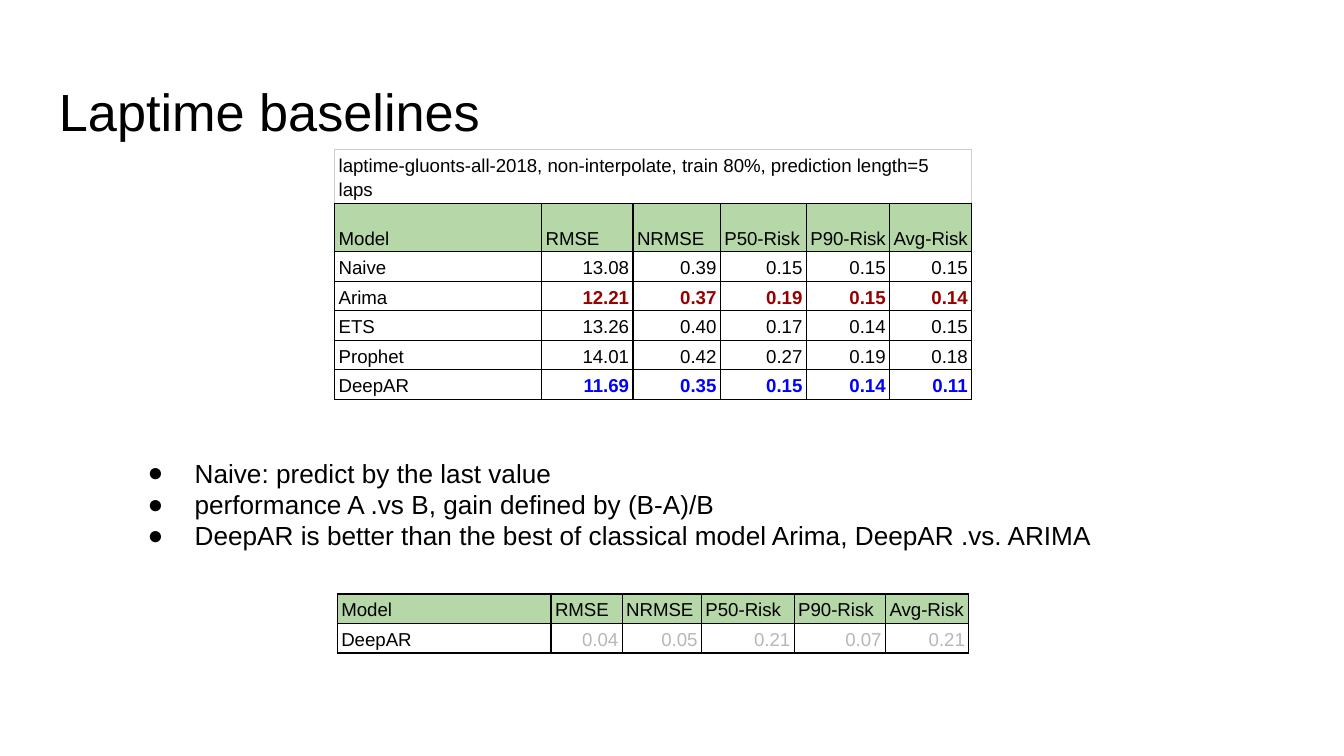
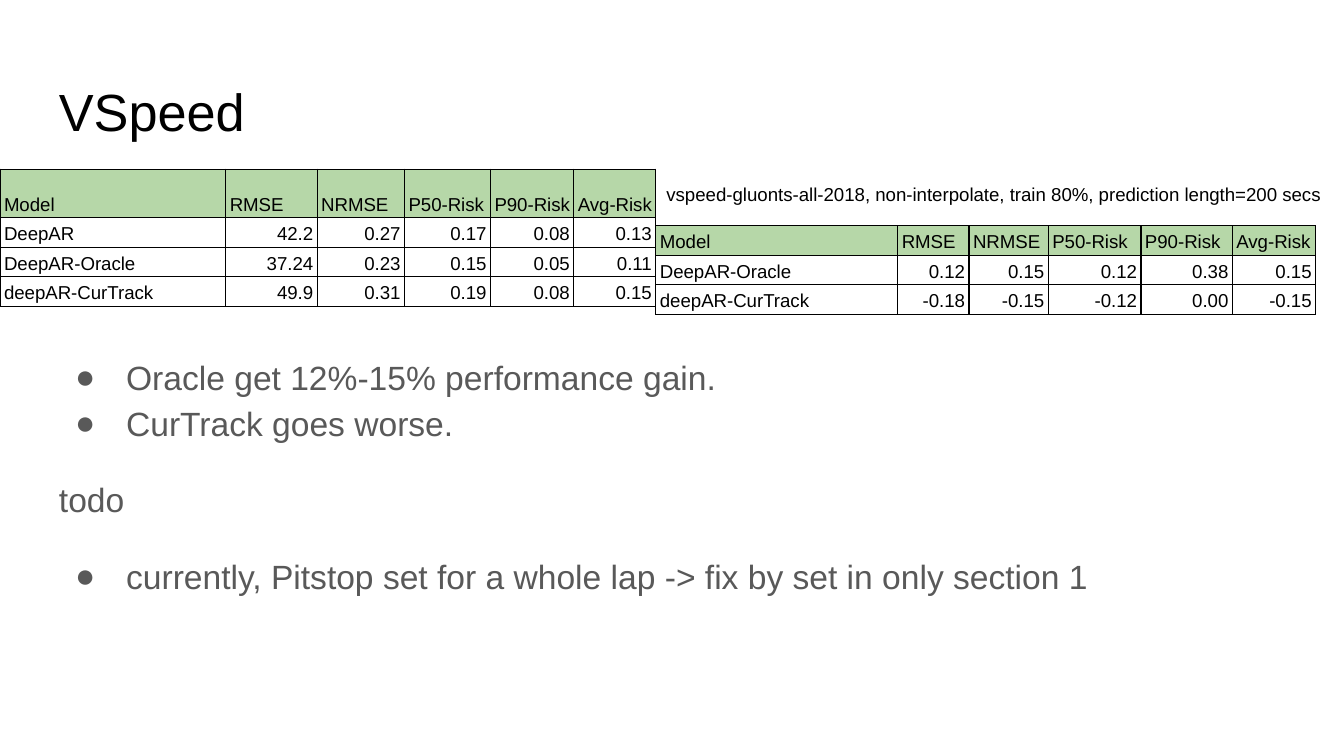
import dataclasses

import lxml.etree
import pptx
import pptx.dml.color
import pptx.enum.text
import pptx.oxml.ns
import pptx.util

Inches = pptx.util.Inches
Align = pptx.enum.text.PP_ALIGN
Anchor = pptx.enum.text.MSO_ANCHOR

FONT = "Arial"
BLACK, BODY_GRAY, PALE_GRAY = "000000", "595959", "B7B7B7"
HEADER_GREEN, CAPTION_BORDER = "B6D7A8", "CCCCCC"
ARIMA_RED, DEEPAR_BLUE = "980000", "0000FF"

METRICS = ("RMSE", "NRMSE", "P50-Risk", "P90-Risk", "Avg-Risk")
SCORE_WIDTHS = (0.68, 0.65, 0.64, 0.62, 0.61)
GAIN_WIDTHS = (0.53, 0.59, 0.69, 0.68, 0.62)
ROW_HEIGHT, TALL_ROW_HEIGHT = 0.22, 0.36


@dataclasses.dataclass(frozen=True)
class ModelRow:
    name: str
    values: str
    color: str = BLACK
    bold: bool = False


@dataclasses.dataclass(frozen=True)
class MetricTable:
    left: float
    top: float
    model_width: float
    metric_widths: tuple[float, ...]
    rows: tuple[ModelRow, ...]
    header_height: float = ROW_HEIGHT
    caption: str = ""


@dataclasses.dataclass(frozen=True)
class Line:
    text: str
    bullet: bool = True
    space_before: float = 0


def rgb(color: str) -> pptx.dml.color.RGBColor:
    return pptx.dml.color.RGBColor.from_string(color)


def add_xml(parent, tag: str, **attributes: str):
    """Append a DrawingML element and return it."""
    element = lxml.etree.SubElement(parent, pptx.oxml.ns.qn(tag))
    for name, value in attributes.items():
        element.set(name, value)
    return element


def write_text(paragraph, text: str, *, size: float, color: str = BLACK,
               bold: bool = False, align=Align.LEFT, line_spacing: float = 1.0,
               space_before: float = 0) -> None:
    paragraph.alignment = align
    paragraph.line_spacing = line_spacing
    paragraph.space_before = pptx.util.Pt(space_before)
    run = paragraph.add_run()
    run.text = text
    run.font.name = FONT
    run.font.size = pptx.util.Pt(size)
    run.font.bold = bold
    run.font.color.rgb = rgb(color)


def add_bullet(paragraph, color: str, hanging: float) -> None:
    properties = paragraph._p.get_or_add_pPr()
    properties.set("marL", str(Inches(0.5)))
    properties.set("indent", str(-Inches(hanging)))
    add_xml(add_xml(properties, "a:buClr"), "a:srgbClr", val=color)
    add_xml(properties, "a:buFont", typeface=FONT)
    add_xml(properties, "a:buChar", char="●")


def add_text_box(slide, left: float, top: float, width: float, height: float,
                 lines: tuple[Line, ...], *, size: float, color: str = BLACK,
                 hanging: float = 0.35, line_spacing: float = 1.0,
                 margin_top: float = 0.1) -> None:
    shape = slide.shapes.add_textbox(Inches(left), Inches(top), Inches(width), Inches(height))
    frame = shape.text_frame
    frame.word_wrap = True
    frame.vertical_anchor = Anchor.TOP
    frame.margin_left = frame.margin_right = frame.margin_bottom = Inches(0.1)
    frame.margin_top = Inches(margin_top)
    for index, line in enumerate(lines):
        paragraph = frame.add_paragraph() if index else frame.paragraphs[0]
        write_text(paragraph, line.text, size=size, color=color,
                   line_spacing=line_spacing, space_before=line.space_before)
        if line.bullet:
            add_bullet(paragraph, color, hanging)


def add_title(slide, text: str) -> None:
    add_text_box(slide, 0.34, 0.49, 9.32, 0.63, (Line(text, bullet=False),), size=28)


def style_cell(cell, *, border: str = BLACK, fill: str = "",
               margin_right: float = 0.03) -> None:
    cell.vertical_anchor = Anchor.BOTTOM
    cell.margin_left = Inches(0.03)
    cell.margin_right = Inches(margin_right)
    cell.margin_top = Inches(0)
    cell.margin_bottom = Inches(0.02)
    properties = cell._tc.get_or_add_tcPr()
    for side, color in (("L", border), ("R", border), ("T", border), ("B", BLACK)):
        edge = add_xml(properties, f"a:ln{side}", w=str(pptx.util.Pt(0.75)))
        add_xml(add_xml(edge, "a:solidFill"), "a:srgbClr", val=color)
    if fill:
        cell.fill.solid()
        cell.fill.fore_color.rgb = rgb(fill)
    else:
        cell.fill.background()


def fill_cell(cell, text: str, *, fill: str = "", margin_right: float = 0.03,
              **text_format) -> None:
    style_cell(cell, fill=fill, margin_right=margin_right)
    write_text(cell.text_frame.paragraphs[0], text, size=10, line_spacing=1.15, **text_format)


def add_caption_row(table, caption: str) -> None:
    cells = list(table.rows[0].cells)
    for cell in cells:
        style_cell(cell, border=CAPTION_BORDER, margin_right=0.05)
    cells[0].merge(cells[-1])
    write_text(cells[0].text_frame.paragraphs[0], caption, size=10, line_spacing=1.15)


def add_metric_table(slide, content: MetricTable) -> None:
    widths = (content.model_width, *content.metric_widths)
    heights = [content.header_height] + [ROW_HEIGHT] * len(content.rows)
    if content.caption:
        heights.insert(0, TALL_ROW_HEIGHT)
    frame = slide.shapes.add_table(
        len(heights), len(widths), Inches(content.left), Inches(content.top),
        Inches(sum(widths)), Inches(sum(heights)))
    table = frame.table
    table.first_row = table.horz_banding = False
    for column, width in zip(table.columns, widths):
        column.width = Inches(width)
    for row, height in zip(table.rows, heights):
        row.height = Inches(height)

    header_index = 0
    if content.caption:
        add_caption_row(table, content.caption)
        header_index = 1
    # Narrow right margin keeps each heading on one line
    for column, label in enumerate(("Model", *METRICS)):
        fill_cell(table.cell(header_index, column), label, fill=HEADER_GREEN, margin_right=0.01)
    for index, row in enumerate(content.rows, start=header_index + 1):
        fill_cell(table.cell(index, 0), row.name)
        for column, value in enumerate(row.values.split(), start=1):
            fill_cell(table.cell(index, column), value, color=row.color,
                      bold=row.bold, align=Align.RIGHT)


# Lap time content
LAPTIME_SCORES = MetricTable(
    2.49, 1.11, 1.54, SCORE_WIDTHS,
    (
        ModelRow("Naive", "13.08 0.39 0.15 0.15 0.15"),
        ModelRow("Arima", "12.21 0.37 0.19 0.15 0.14", ARIMA_RED, bold=True),
        ModelRow("ETS", "13.26 0.40 0.17 0.14 0.15"),
        ModelRow("Prophet", "14.01 0.42 0.27 0.19 0.18"),
        ModelRow("DeepAR", "11.69 0.35 0.15 0.14 0.11", DEEPAR_BLUE, bold=True),
    ),
    header_height=TALL_ROW_HEIGHT,
    caption="laptime-gluonts-all-2018, non-interpolate, train 80%, prediction length=5 laps",
)
LAPTIME_GAINS = MetricTable(
    2.51, 4.42, 1.59, GAIN_WIDTHS,
    (ModelRow("DeepAR", "0.04 0.05 0.21 0.07 0.21", PALE_GRAY),),
)
LAPTIME_NOTES = (
    Line("Naive: predict by the last value"),
    Line("performance A .vs B, gain defined by (B-A)/B"),
    Line("DeepAR is better than the best of classical model Arima, DeepAR .vs. ARIMA"),
)

# Speed content
VSPEED_SCORES = MetricTable(
    0, 1.26, 1.68, SCORE_WIDTHS,
    (
        ModelRow("DeepAR", "42.2 0.27 0.17 0.08 0.13"),
        ModelRow("DeepAR-Oracle", "37.24 0.23 0.15 0.05 0.11"),
        ModelRow("deepAR-CurTrack", "49.9 0.31 0.19 0.08 0.15"),
    ),
    header_height=TALL_ROW_HEIGHT,
)
VSPEED_GAINS = MetricTable(
    4.88, 1.68, 1.8, GAIN_WIDTHS,
    (
        ModelRow("DeepAR-Oracle", "0.12 0.15 0.12 0.38 0.15"),
        ModelRow("deepAR-CurTrack", "-0.18 -0.15 -0.12 0.00 -0.15"),
    ),
)
VSPEED_NOTES = (
    Line("Oracle get 12%-15% performance gain."),
    Line("CurTrack goes worse."),
    Line("todo", bullet=False, space_before=16),
    Line("currently, Pitstop set for a whole lap -> fix by set in only section 1", space_before=16),
)
VSPEED_CAPTION = Line(
    "vspeed-gluonts-all-2018, non-interpolate, train 80%, prediction length=200 secs",
    bullet=False)


def build_laptime_slide(slide) -> None:
    add_title(slide, "Laptime baselines")
    add_metric_table(slide, LAPTIME_SCORES)
    add_text_box(slide, 0.85, 3.3, 8.02, 0.94, LAPTIME_NOTES, size=14)
    add_metric_table(slide, LAPTIME_GAINS)


def build_vspeed_slide(slide) -> None:
    add_title(slide, "VSpeed")
    add_text_box(slide, 0.34, 2.51, 9.32, 2.48, VSPEED_NOTES, size=18,
                 color=BODY_GRAY, hanging=0.38, line_spacing=1.15)
    add_metric_table(slide, VSPEED_SCORES)
    add_metric_table(slide, VSPEED_GAINS)
    add_text_box(slide, 4.86, 1.27, 8.02, 0.94, (VSPEED_CAPTION,), size=10, margin_top=0.12)


def main() -> None:
    presentation = pptx.Presentation()
    presentation.slide_width = Inches(10)
    presentation.slide_height = Inches(10 * 9 / 16)
    blank_layout = presentation.slide_layouts[6]
    for build_slide in (build_laptime_slide, build_vspeed_slide):
        build_slide(presentation.slides.add_slide(blank_layout))
    presentation.save("out.pptx")


if __name__ == "__main__":
    main()
